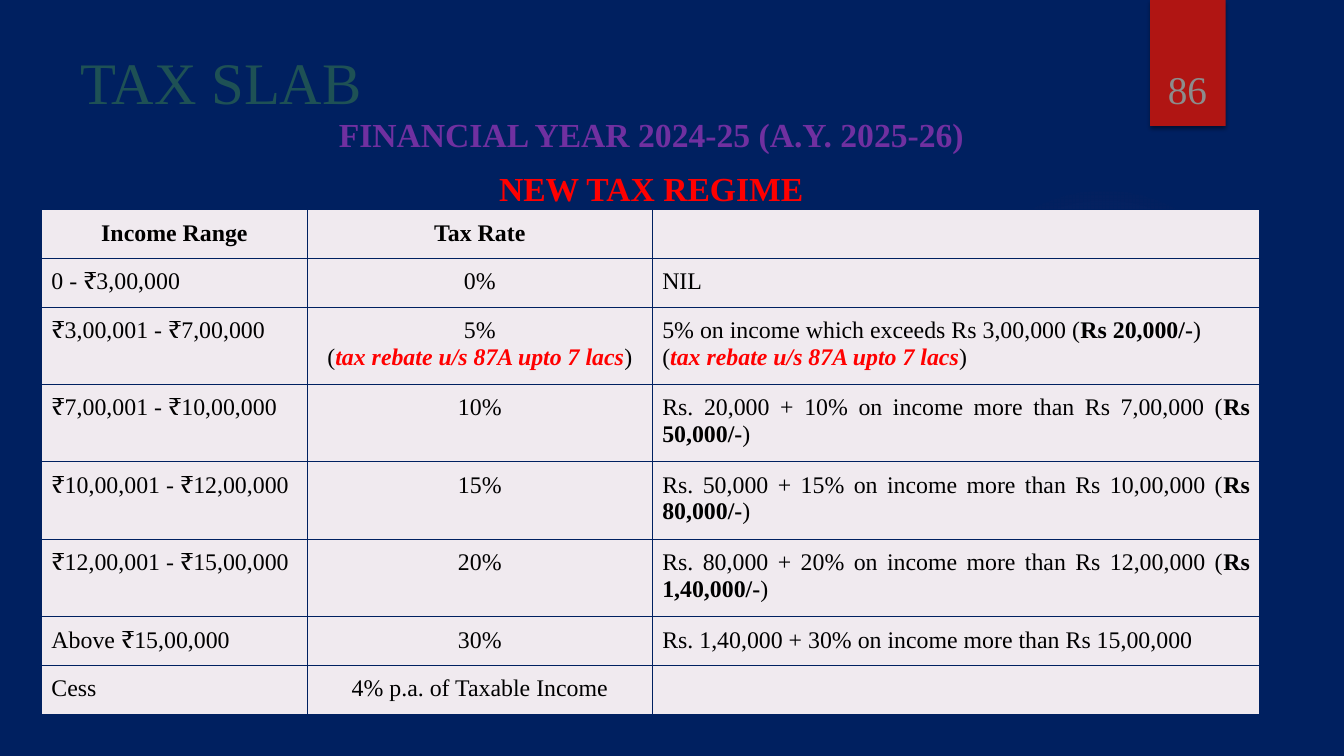
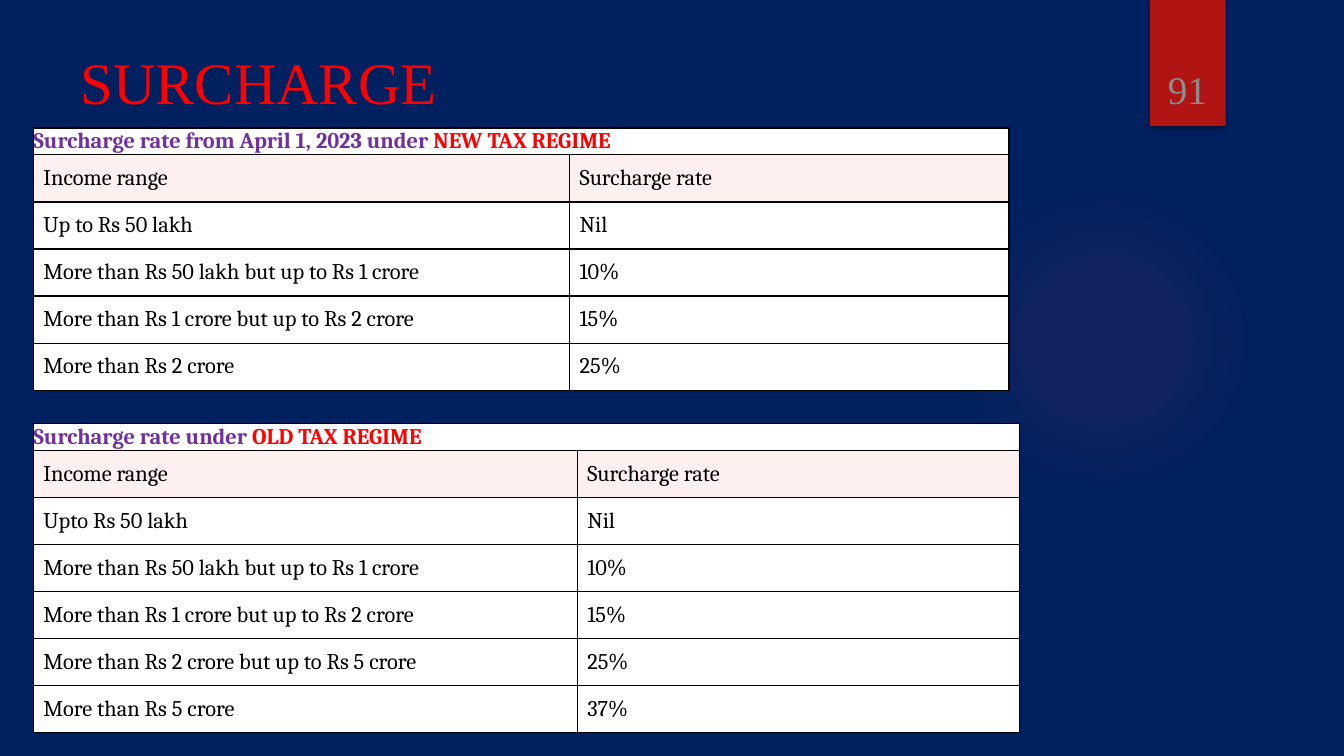
from dataclasses import dataclass

from pptx import Presentation
from pptx.dml.color import RGBColor
from pptx.enum.shapes import MSO_SHAPE
from pptx.enum.text import MSO_ANCHOR, PP_ALIGN
from pptx.oxml import parse_xml
from pptx.oxml.ns import nsdecls, qn
from pptx.util import Inches, Pt

LEFT, CENTER, JUSTIFY = PP_ALIGN.LEFT, PP_ALIGN.CENTER, PP_ALIGN.JUSTIFY
TOP, MIDDLE, BOTTOM = MSO_ANCHOR.TOP, MSO_ANCHOR.MIDDLE, MSO_ANCHOR.BOTTOM
RECTANGLE, OVAL = MSO_SHAPE.RECTANGLE, MSO_SHAPE.OVAL

NAVY = RGBColor(0x00, 0x20, 0x60)
CRIMSON = RGBColor(0xB0, 0x15, 0x13)
CORAL = RGBColor(0xED, 0x56, 0x54)
RED = RGBColor(0xFF, 0x00, 0x00)
PURPLE = RGBColor(0x70, 0x30, 0xA0)
TEAL = RGBColor(0x1E, 0x51, 0x55)
GRAY = RGBColor(0x8C, 0x8C, 0x8C)
BLACK = RGBColor(0x00, 0x00, 0x00)
WHITE = RGBColor(0xFF, 0xFF, 0xFF)
LILAC = RGBColor(0xF0, 0xEA, 0xEF)
BLUSH = RGBColor(0xFF, 0xF0, 0xF0)

SERIF, TABLE_SERIF = "Times New Roman", "Cambria"
CELL_MARGIN = Inches(0.1)
GLOW_STOPS = ((0, 7), (36, 6), (69, 0))


@dataclass
class Span:
    text: str
    color: RGBColor = BLACK
    bold: bool = False
    italic: bool = False


def bold(text, color=BLACK):
    return Span(text, color, True)


class Deck:
    """Shared style and current page; lengths are percentages of the slide."""

    def __init__(self):
        self.file = Presentation()
        self.file.slide_width = Inches(13.33)
        self.file.slide_height = Inches(7.5)
        self.page = None

    def across(self, share):
        return round(self.file.slide_width * share / 100)

    def down(self, share):
        return round(self.file.slide_height * share / 100)

    def place(self, left, top, width, height):
        return self.across(left), self.down(top), self.across(width), self.down(height)

    def new_page(self, title, color, number):
        self.page = self.file.slides.add_slide(self.file.slide_layouts[6])
        self.page.background.fill.solid()
        self.page.background.fill.fore_color.rgb = NAVY
        self.glow((70.58, 24.4, 23.1, 41.07))
        self.ribbon((85.58, 0, 5.62, 16.67))
        self.text((84.9, 4.27, 6.9, 11.2), [[Span(number, GRAY)]], 28, CENTER, BOTTOM)
        self.text((5.25, 5.33, 77.18, 10.27), [[Span(title, color)]], 42)

    def shape(self, kind, area):
        shape = self.page.shapes.add_shape(kind, *self.place(*area))
        shape.shadow.inherit = False
        shape.line.fill.background()
        return shape

    def glow(self, area):
        """Add a soft disc that fades out towards its rim."""
        disc = self.shape(OVAL, area)
        disc.fill.background()
        stops = "".join(
            f'<a:gs pos="{place * 1000}"><a:srgbClr val="{CORAL}">'
            f'<a:alpha val="{alpha * 1000}"/></a:srgbClr></a:gs>'
            for place, alpha in GLOW_STOPS)
        gradient = parse_xml(
            f'<a:gradFill {nsdecls("a")}><a:gsLst>{stops}</a:gsLst><a:path path="circle">'
            '<a:fillToRect l="50000" t="50000" r="50000" b="50000"/></a:path></a:gradFill>')
        properties = disc.element.spPr
        properties.replace(properties.find(qn("a:noFill")), gradient)

    def ribbon(self, area):
        """Add the red tab behind the page number, with its soft shadow."""
        tab = self.shape(RECTANGLE, area)
        tab.fill.solid()
        tab.fill.fore_color.rgb = CRIMSON
        tab.element.spPr.find(qn("a:effectLst")).append(parse_xml(
            f'<a:outerShdw {nsdecls("a")} blurRad="{Pt(3)}" dist="{Pt(2)}" dir="5400000" '
            f'rotWithShape="0"><a:srgbClr val="{BLACK}"><a:alpha val="45000"/>'
            '</a:srgbClr></a:outerShdw>'))

    def add_spans(self, frame, paragraphs, size, align, font=SERIF, gap=0):
        for index, spans in enumerate(paragraphs):
            para = frame.add_paragraph() if index else frame.paragraphs[0]
            para.alignment = align
            if index:
                para.space_before = Pt(gap)
            for span in spans:
                run = para.add_run()
                run.text = span.text
                run.font.name = font
                run.font.size = Pt(size)
                run.font.bold = span.bold
                run.font.italic = span.italic
                run.font.color.rgb = span.color

    def text(self, area, paragraphs, size, align=LEFT, anchor=TOP, gap=0):
        frame = self.page.shapes.add_textbox(*self.place(*area)).text_frame
        frame.word_wrap = True
        frame.vertical_anchor = anchor
        self.add_spans(frame, paragraphs, size, align, gap=gap)

    def table(self, left, top, columns, rows):
        """Add an unstyled table from column widths and row heights."""
        area = self.place(left, top, sum(columns), sum(rows))
        table = self.page.shapes.add_table(len(rows), len(columns), *area).table
        table.first_row = table.horz_banding = False
        for column, width in zip(table.columns, columns):
            column.width = self.across(width)
        for row, height in zip(table.rows, rows):
            row.height = self.down(height)
        return table

    def cell(self, cell, fill, border, margin=CELL_MARGIN, anchor=TOP):
        cell.fill.solid()
        cell.fill.fore_color.rgb = fill
        cell.vertical_anchor = anchor
        cell.margin_left = cell.margin_right = margin
        cell.margin_top = cell.margin_bottom = margin
        properties = cell._tc.get_or_add_tcPr()
        for index, side in enumerate("LRTB"):
            properties.insert(index, parse_xml(
                f'<a:ln{side} {nsdecls("a")} w="{Pt(1)}"><a:solidFill>'
                f'<a:srgbClr val="{border}"/></a:solidFill></a:ln{side}>'))

    def slab_table(self, left, top, columns, records):
        """Each record holds one list of paragraphs per cell."""
        heights = [9.73 if max(map(len, record)) > 1 else 6.2 for record in records]
        table = self.table(left, top, columns, heights)
        for row, record in enumerate(records):
            for column, paragraphs in enumerate(record):
                cell = table.cell(row, column)
                margin = CELL_MARGIN if paragraphs else Inches(0.05)
                self.cell(cell, LILAC, NAVY, margin)
                align = CENTER if row == 0 or column == 1 else JUSTIFY
                self.add_spans(cell.text_frame, paragraphs, 17, align)

    def rate_table(self, top, columns, heading, records):
        """Add a merged heading row above pairs of income range and rate."""
        records = [("Income range", "Surcharge rate"), *records]
        table = self.table(2.48, top, columns, [3.47] + [6.13] * len(records))
        for column in range(2):
            self.cell(table.cell(0, column), WHITE, BLACK, 0, MIDDLE)
        table.cell(0, 0).merge(table.cell(0, 1))
        self.add_spans(table.cell(0, 0).text_frame, [heading], 16, LEFT, TABLE_SERIF)
        for row, record in enumerate(records, 1):
            for column, words in enumerate(record):
                cell = table.cell(row, column)
                self.cell(cell, BLUSH if row == 1 else WHITE, BLACK, anchor=MIDDLE)
                self.add_spans(cell.text_frame, [[Span(words)]], 16, LEFT, TABLE_SERIF)


def plain(text):
    return [[Span(text)]]


def due(text, total):
    """Return a line that closes with the bold total in brackets."""
    return [Span(f"{text} ("), bold(total), Span(")")]


def main():
    deck = Deck()

    deck.new_page("TAX SLAB", TEAL, "86")
    deck.text((2.33, 14.4, 92.25, 13.33), [
        [bold("FINANCIAL YEAR 2024-25 (A.Y. 2025-26)", PURPLE)],
        [bold("NEW TAX REGIME", RED)],
    ], 24, CENTER, gap=10)
    rebate = [Span("("), Span("tax rebate u/s 87A upto 7 lacs", RED, True, True), Span(")")]
    deck.slab_table(3.08, 27.73, (19.8, 25.65, 45.22), [
        ([[bold("Income Range")]], [[bold("Tax Rate")]], []),
        (plain("0 - ₹3,00,000"), plain("0%"), plain("NIL")),
        (plain("₹3,00,001 - ₹7,00,000"), [[Span("5%")], rebate],
         [due("5% on income which exceeds Rs 3,00,000", "Rs 20,000/-"), rebate]),
        (plain("₹7,00,001 - ₹10,00,000"), plain("10%"),
         [due("Rs. 20,000 + 10% on income more than Rs 7,00,000", "Rs 50,000/-")]),
        (plain("₹10,00,001 - ₹12,00,000"), plain("15%"),
         [due("Rs. 50,000 + 15% on income more than Rs 10,00,000", "Rs 80,000/-")]),
        (plain("₹12,00,001 - ₹15,00,000"), plain("20%"),
         [due("Rs. 80,000 + 20% on income more than Rs 12,00,000", "Rs 1,40,000/-")]),
        (plain("Above ₹15,00,000"), plain("30%"),
         plain("Rs. 1,40,000 + 30% on income more than Rs 15,00,000")),
        (plain("Cess"), plain("4% p.a. of Taxable Income"), []),
    ])

    deck.new_page("SURCHARGE", RED, "91")
    middle_rates = [
        ("More than Rs 50 lakh but up to Rs 1 crore", "10%"),
        ("More than Rs 1 crore but up to Rs 2 crore", "15%"),
    ]
    deck.rate_table(
        16.93, (39.9, 32.7),
        [bold("Surcharge rate from April 1, 2023 under ", PURPLE), bold("NEW TAX REGIME", RED)],
        [("Up to Rs 50 lakh", "Nil"), *middle_rates, ("More than Rs 2 crore", "25%")])
    deck.rate_table(
        56, (40.47, 32.9),
        [bold("Surcharge rate under ", PURPLE), bold("OLD TAX REGIME", RED)],
        [("Upto Rs 50 lakh", "Nil"), *middle_rates,
         ("More than Rs 2 crore but up to Rs 5 crore", "25%"),
         ("More than Rs 5 crore", "37%")])

    deck.file.save("out.pptx")


if __name__ == "__main__":
    main()
